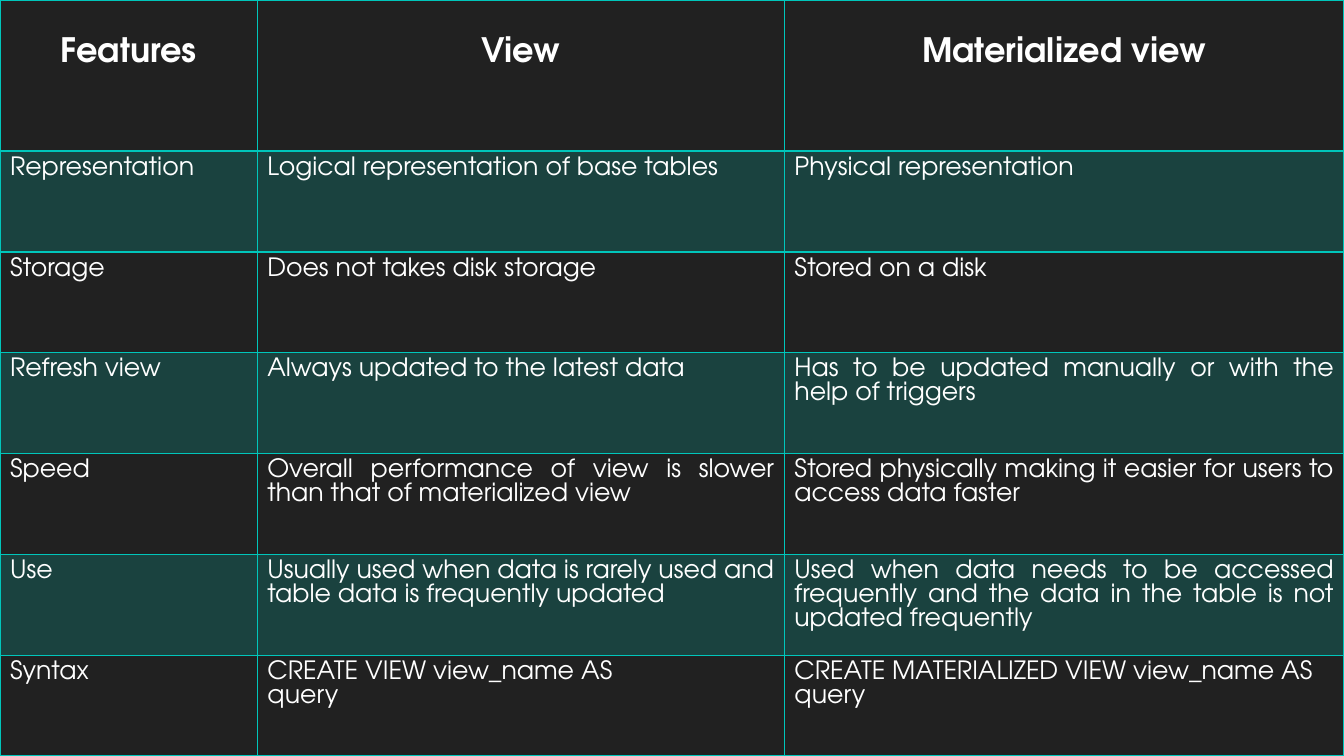
from lxml import etree
from pptx import Presentation
from pptx.dml.color import RGBColor
from pptx.enum.text import PP_ALIGN
from pptx.oxml.ns import qn
from pptx.util import Pt

PX = 9525
SLIDE_WIDTH, SLIDE_HEIGHT = 1280, 720
COLUMN_WIDTHS = (245, 502, 533)
HEADER_HEIGHT, FEATURE_HEIGHT = 144, 96
HEADER_TOP_MARGIN = 35
LINE_RATIO = 0.95

BACKGROUND = RGBColor(0x21, 0x21, 0x21)
TEAL = RGBColor(0x00, 0xC6, 0xBB)
WHITE = RGBColor(0xFF, 0xFF, 0xFF)
BAND_OPACITY = 20
CENTER, JUSTIFY = PP_ALIGN.CENTER, PP_ALIGN.JUSTIFY

HEADER_FONT = {"name": "TeX Gyre Adventor", "size": Pt(24), "bold": True}
FEATURE_FONT = {"name": "TeX Gyre Adventor", "size": Pt(18), "bold": False}

COMPARISON = (
    ("Features", "View", "Materialized view"),
    ("Representation", "Logical representation of base tables", "Physical representation"),
    ("Storage", "Does not takes disk storage", "Stored on a disk"),
    ("Refresh view", "Always updated to the latest data",
     "Has to be updated manually or with the help of triggers"),
    ("Speed", "Overall performance of view is slower than that of materialized view",
     "Stored physically making it easier for users to access data faster"),
    ("Use", "Usually used when data is rarely used and table data is frequently updated",
     "Used when data needs to be accessed frequently and the data in the table is not "
     "updated frequently"),
    ("Syntax", "CREATE VIEW view_name AS\nquery",
     "CREATE MATERIALIZED VIEW view_name AS\nquery"),
)


def write_cell(cell, wording, font_format, alignment):
    """Fill a cell with aligned white text, one paragraph per line of wording."""
    cell.text_frame.text = wording
    for paragraph in cell.text_frame.paragraphs:
        paragraph.alignment = alignment
        paragraph.line_spacing = Pt(round(font_format["size"].pt * LINE_RATIO, 1))
        for run in paragraph.runs:
            run.font.color.rgb = WHITE
            for attribute, value in font_format.items():
                setattr(run.font, attribute, value)


def shade_cell(cell, banded):
    """Tint a banded cell with translucent teal and leave any other clear."""
    if not banded:
        cell.fill.background()
        return
    cell.fill.solid()
    cell.fill.fore_color.rgb = TEAL
    tint = next(cell._tc.get_or_add_tcPr().iter(qn("a:srgbClr")))
    etree.SubElement(tint, qn("a:alpha"), val=str(BAND_OPACITY * 1000))


def border_cell(cell, bottom_width):
    """Draw teal lines on all four sides of a cell."""
    properties = cell._tc.get_or_add_tcPr()
    widths = {"lnL": 1, "lnR": 1, "lnT": 1, "lnB": bottom_width}
    for position, (side, width) in enumerate(widths.items()):
        line = etree.Element(qn(f"a:{side}"), w=str(Pt(width)))
        fill = etree.SubElement(line, qn("a:solidFill"))
        etree.SubElement(fill, qn("a:srgbClr"), val=str(TEAL))
        properties.insert(position, line)


def add_comparison(slide):
    """Add the feature table that covers the whole slide."""
    table = slide.shapes.add_table(
        len(COMPARISON), len(COLUMN_WIDTHS), 0, 0, SLIDE_WIDTH * PX, SLIDE_HEIGHT * PX
    ).table
    table.first_row = False
    table.horz_banding = False
    for column, width in zip(table.columns, COLUMN_WIDTHS):
        column.width = width * PX
    for row_index, wordings in enumerate(COMPARISON):
        is_header = row_index == 0
        table.rows[row_index].height = (HEADER_HEIGHT if is_header else FEATURE_HEIGHT) * PX
        for column_index, wording in enumerate(wordings):
            cell = table.cell(row_index, column_index)
            if is_header:
                cell.margin_top = HEADER_TOP_MARGIN * PX
                write_cell(cell, wording, HEADER_FONT, CENTER)
            else:
                write_cell(cell, wording, FEATURE_FONT, JUSTIFY)
            shade_cell(cell, row_index % 2 == 1)
            border_cell(cell, 2 if is_header else 1)


def main():
    """Build the slide comparing views with materialized views."""
    presentation = Presentation()
    presentation.slide_width = SLIDE_WIDTH * PX
    presentation.slide_height = SLIDE_HEIGHT * PX
    slide = presentation.slides.add_slide(presentation.slide_layouts[6])
    slide.background.fill.solid()
    slide.background.fill.fore_color.rgb = BACKGROUND
    add_comparison(slide)
    presentation.save("out.pptx")


if __name__ == "__main__":
    main()
